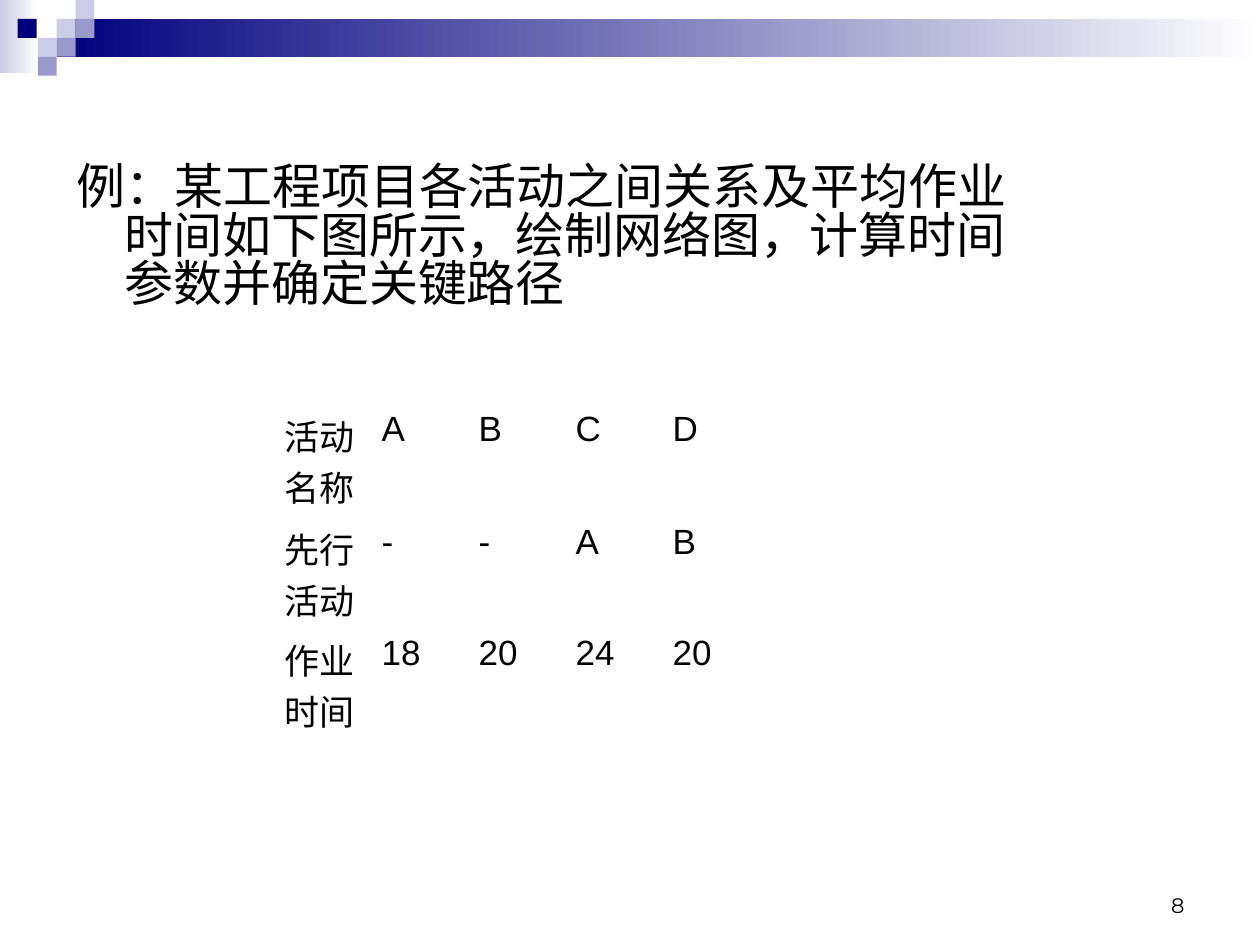
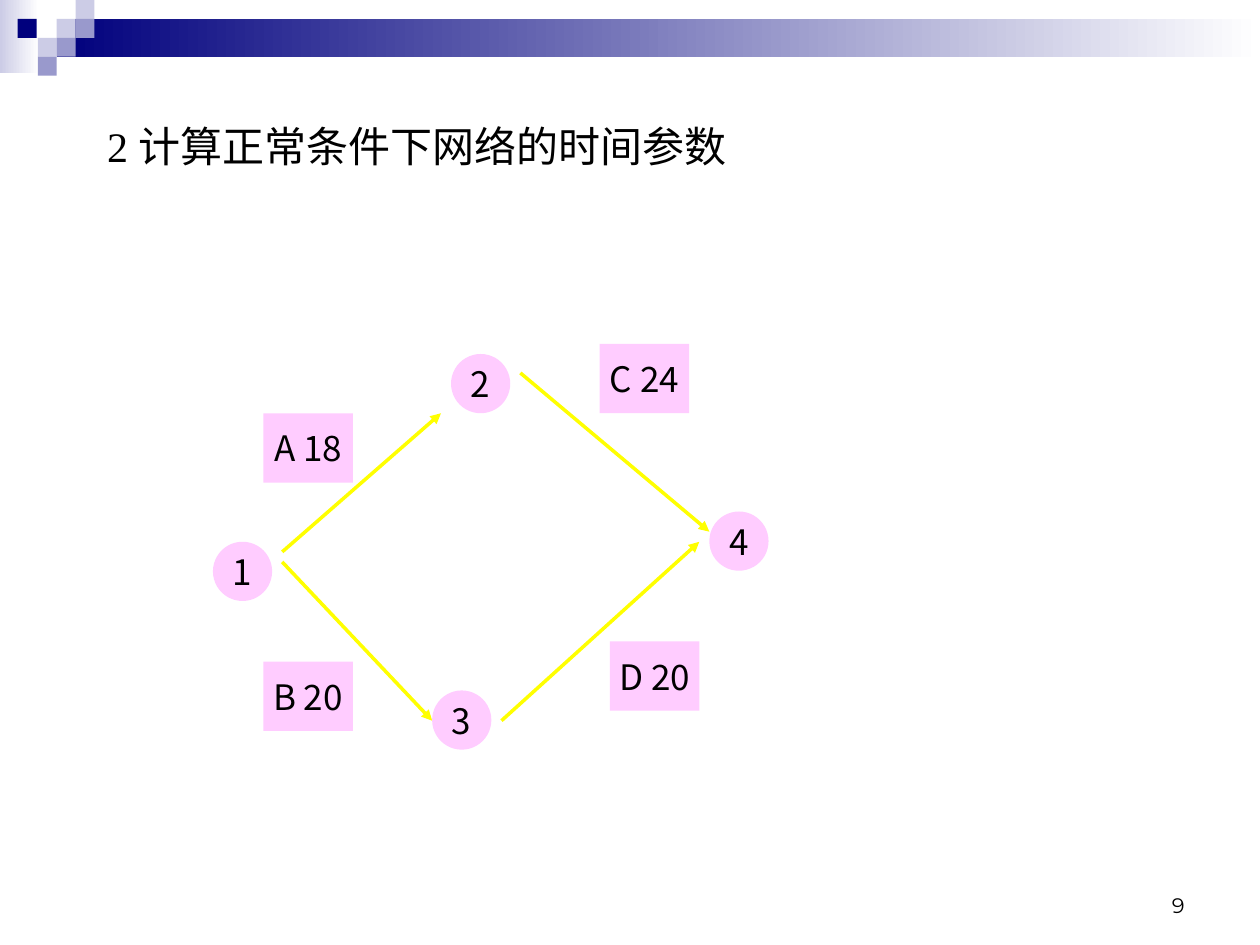
from lxml.etree import SubElement
from pptx import Presentation
from pptx.dml.color import RGBColor
from pptx.enum.shapes import MSO_CONNECTOR, MSO_SHAPE
from pptx.enum.text import MSO_ANCHOR, PP_ALIGN
from pptx.oxml.ns import qn
from pptx.util import Inches, Pt

COLORS = {
    "navy": "00007D",
    "lilac": "CCCCE6",
    "violet": "9999CC",
    "white": "FFFFFF",
    "black": "000000",
    "pink": "FFCCFF",
    "yellow": "FFFF00",
}
CJK = "Noto Sans CJK SC"


def write(tf, text, size, font, align=PP_ALIGN.LEFT):
    tf.text = text
    p = tf.paragraphs[0]
    p.alignment = align
    r = p.runs[0]
    r.font.size = Pt(size)
    r.font.name = font
    r.font.color.rgb = RGBColor.from_string(COLORS["black"])
    SubElement(r.font._element, qn("a:ea"), typeface=CJK)
    return p


def add_block(s, kind, box, color, fade=False):
    sp = s.shapes.add_shape(kind, *[Inches(v) for v in box])
    sp.shadow.inherit = False
    sp.line.fill.background()
    if fade:
        sp.fill.gradient()
        sp.fill.gradient_angle = 0
        for stop, name in zip(sp.fill.gradient_stops, (color, "white")):
            stop.color.rgb = RGBColor.from_string(COLORS[name])
    else:
        sp.fill.solid()
        sp.fill.fore_color.rgb = RGBColor.from_string(COLORS[color])
    return sp


prs = Presentation()
prs.slide_width = Inches(10)
prs.slide_height = Inches(7.5)
title_only, blank = prs.slide_layouts[5], prs.slide_layouts[6]
example = prs.slides.add_slide(blank)
network = prs.slides.add_slide(title_only)

squares = [
    (0.45, 0.15, "lilac"),
    (0.6, 0, "lilac"),
    (0.6, 0.15, "violet"),
    (0.3, 0.3, "lilac"),
    (0.14, 0.15, "navy"),
    (0.45, 0.3, "violet"),
    (0.3, 0.45, "violet"),
]
for number, s in enumerate((example, network), start=8):
    add_block(s, MSO_SHAPE.RECTANGLE, (0, 0, 0.31, 0.58), "lilac", fade=True)
    add_block(s, MSO_SHAPE.RECTANGLE, (0.45, 0.15, 9.55, 0.3), "navy", fade=True)
    for x, y, color in squares:
        add_block(s, MSO_SHAPE.RECTANGLE, (x, y, 0.15, 0.15), color)
    tf = s.shapes.add_textbox(Inches(7.17), Inches(6.83), Inches(2.33), Inches(0.5)).text_frame
    tf.word_wrap = True
    tf.vertical_anchor = MSO_ANCHOR.BOTTOM
    write(tf, str(number), 12, "Montserrat", PP_ALIGN.RIGHT)

tf = example.shapes.add_textbox(Inches(0.51), Inches(1.23), Inches(7.8), Inches(1.65)).text_frame
tf.word_wrap = True
tf.margin_top = Inches(0.09)
p = write(tf, "例：某工程项目各活动之间关系及平均作业时间如下图所示，绘制网络图，计算时间参数并确定关键路径", 28, "Arial")
p.line_spacing = 0.82
pPr = p._p.get_or_add_pPr()
pPr.set("marL", str(Inches(0.38)))
pPr.set("indent", str(-Inches(0.38)))

rows = [
    ("活动名称", "A", "B", "C", "D"),
    ("先行活动", "-", "-", "A", "B"),
    ("作业时间", "18", "20", "24", "20"),
]
table = example.shapes.add_table(3, 5, Inches(2.16), Inches(3.2), Inches(3.86), Inches(2.6)).table
table.first_row = False
table.horz_banding = False
for column in table.columns:
    column.width = Inches(0.77)
for row, height, values in zip(table.rows, (0.9, 0.88, 0.82), rows):
    row.height = Inches(height)
    for cell, value in zip(row.cells, values):
        cell.fill.solid()
        cell.fill.fore_color.rgb = RGBColor.from_string(COLORS["white"])
        cell.margin_left = cell.margin_right = Inches(0.1)
        cell.margin_top = Inches(0.05)
        cell.margin_bottom = 0
        write(cell.text_frame, value, 20, "Arial")

title = network.shapes.title
title.left, title.top = Inches(0.75), Inches(0.94)
title.width, title.height = Inches(5.12), Inches(0.9)
tf = title.text_frame
tf.word_wrap = True
tf.vertical_anchor = MSO_ANCHOR.TOP
tf.margin_top = Inches(0.09)
tf.margin_bottom = 0
p = write(tf, "2 计算正常条件下网络的时间参数", 24, "Times New Roman")
p.line_spacing = 0.82

arrows = [
    (2.24, 4.38, 3.5, 3.28),
    (2.24, 4.46, 3.43, 5.72),
    (3.98, 5.72, 5.55, 4.3),
    (4.13, 2.96, 5.63, 4.22),
]
for ends in arrows:
    line = network.shapes.add_connector(MSO_CONNECTOR.STRAIGHT, *[Inches(v) for v in ends])
    line.line.color.rgb = RGBColor.from_string(COLORS["yellow"])
    line.line.width = Pt(2)
    SubElement(line.line._get_or_add_ln(), qn("a:tailEnd"), type="triangle")
    SubElement(line._element.spPr, qn("a:effectLst"))

nodes = [("1", 1.69, 4.3), ("2", 3.58, 2.81), ("3", 3.43, 5.48), ("4", 5.63, 4.06)]
activities = [("A 18", 2.09, 3.28), ("B 20", 2.09, 5.25), ("C 24", 4.76, 2.73), ("D 20", 4.84, 5.09)]
for kind, width, height, items in (
    (MSO_SHAPE.OVAL, 0.47, 0.47, nodes),
    (MSO_SHAPE.RECTANGLE, 0.71, 0.55, activities),
):
    for text, x, y in items:
        sp = add_block(network, kind, (x, y, width, height), "pink")
        sp.text_frame.word_wrap = False
        sp.text_frame.vertical_anchor = MSO_ANCHOR.MIDDLE
        write(sp.text_frame, text, 20, CJK, PP_ALIGN.CENTER)

prs.save("out.pptx")
